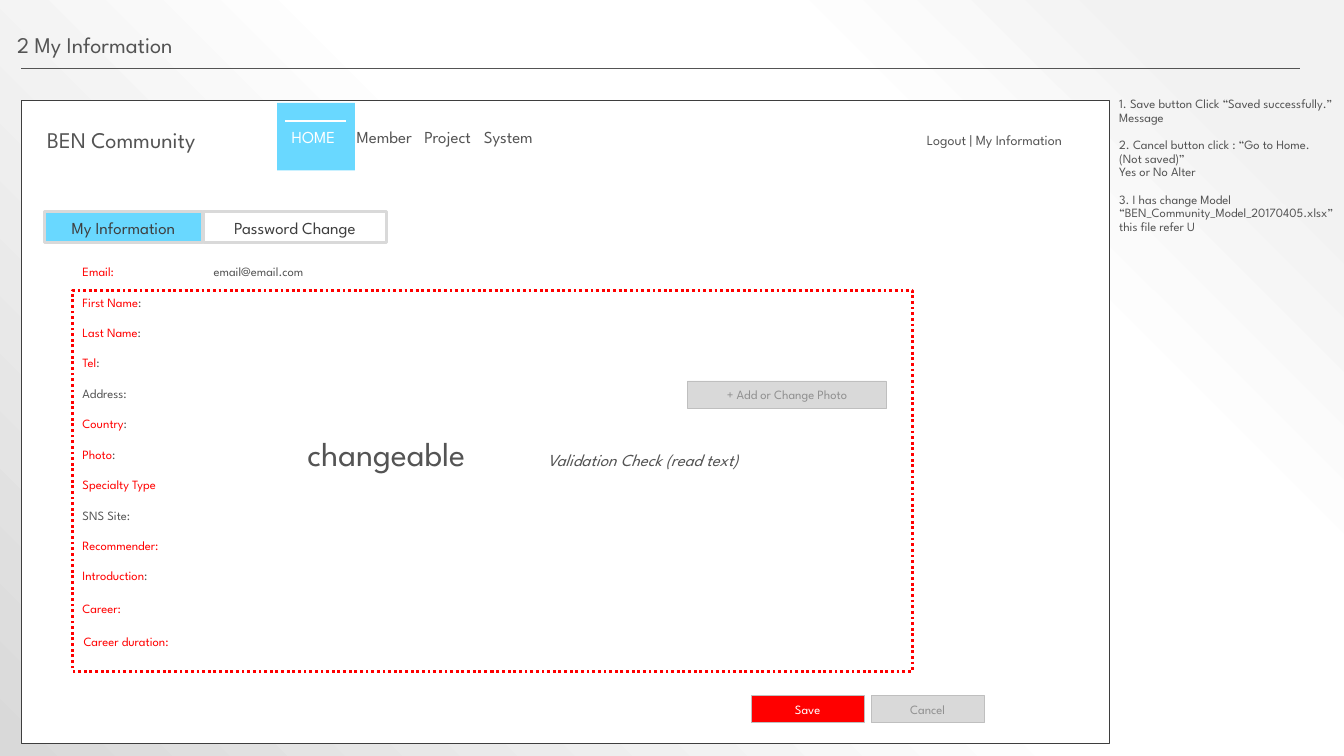
from lxml import etree
from pptx import Presentation, util as u
from pptx.dml.color import RGBColor
from pptx.enum import dml, shapes, text
from pptx.oxml import parse_xml
from pptx.oxml.ns import qn

FONT = "League Spartan"
GREY, DARK, PALE, EDGE, DIM = "545454", "3F3F3F", "D9D9D9", "BFBFBF", "909090"
RED, SKY, WHITE = "FF0000", "69D8FF", "FFFFFF"
LEFT, CENTER, RIGHT = text.PP_ALIGN.LEFT, text.PP_ALIGN.CENTER, text.PP_ALIGN.RIGHT
color = RGBColor.from_string


def write(shape, paragraphs, size, ink=GREY, align=LEFT, spacing=1.0, gap=0, anchor="TOP"):
    """Fill a shape with paragraphs, each a list of (words, colour) spans or one string."""
    frame = shape.text_frame
    frame.word_wrap = True
    frame.auto_size = text.MSO_AUTO_SIZE.NONE
    frame.vertical_anchor = text.MSO_ANCHOR[anchor]
    for number, spans in enumerate(paragraphs):
        para = frame.add_paragraph() if number else frame.paragraphs[0]
        para.alignment = align
        para.line_spacing = spacing
        para.space_before = u.Pt(gap if number else 0)
        if isinstance(spans, str):
            para.text = spans
        else:
            for words, span_ink in spans:
                span = para.add_run()
                span.text = words
                span.font.color.rgb = color(span_ink)
        para.font.name, para.font.size = FONT, u.Pt(size)
        para.font.color.rgb = color(ink)
    return frame


def rectangle(parent, place, fill=None, line=None, width=0.25):
    box = parent.add_shape(shapes.MSO_SHAPE.RECTANGLE, *map(u.Inches, place))
    box.shadow.inherit = False
    if fill:
        box.fill.solid()
        box.fill.fore_color.rgb = color(fill)
    else:
        box.fill.background()
    if line:
        box.line.color.rgb = color(line)
        box.line.width = u.Pt(width)
    else:
        box.line.fill.background()
    return box


deck = Presentation()
deck.slide_width, deck.slide_height = u.Inches(13.33), u.Inches(7.5)
page = deck.slides.add_slide(deck.slide_layouts[1])
title, notes = page.placeholders

# Background: radial gradient centred on the top right corner
page.background.fill.gradient()
gradient = page.background._cSld.find(".//" + qn("a:gradFill"))
for child in list(gradient):
    gradient.remove(child)
NS = 'xmlns:a="http://schemas.openxmlformats.org/drawingml/2006/main"'
stops = "".join(
    f'<a:gs pos="{share * 1000}"><a:srgbClr val="{tint}"/></a:gs>'
    for share, tint in [(10, "F2F2F2"), (28, WHITE), (48, WHITE), (100, PALE)])
gradient.append(parse_xml(f"<a:gsLst {NS}>{stops}</a:gsLst>"))
gradient.append(parse_xml(
    f'<a:path {NS} path="circle"><a:fillToRect l="100000" b="100000"/></a:path>'))

# Title and notes
title.left, title.top, title.width, title.height = map(u.Inches, (0.07, 0.29, 2.02, 0.34))
write(title, ["2 My Information"], 16, spacing=0.9)

notes.left, notes.top, notes.width, notes.height = map(u.Inches, (11, 0.92, 2.33, 1.74))
remarks = [
    "1. Save button Click “Saved successfully.”\vMessage",
    "2. Cancel button click : “Go to Home. (Not saved)”\vYes or No Alter",
    "3. I has change Model\v“BEN_Community_Model_20170405.xlsx” this file refer U",
]
for number in range(len(remarks)):
    para = notes.text_frame.add_paragraph() if number else notes.text_frame.paragraphs[0]
    properties = para._p.get_or_add_pPr()
    properties.set("marL", "0")
    properties.set("indent", "0")
    etree.SubElement(properties, qn("a:buNone"))
    para.text = remarks[number]
    para.line_spacing = 0.9
    para.space_before = u.Pt(9.7 if number else 0)
    para.font.name, para.font.size = FONT, u.Pt(9)
    para.font.color.rgb = color(GREY)
notes.text_frame.auto_size = text.MSO_AUTO_SIZE.NONE

# Window frame, header tile and tabs
rectangle(page.shapes, (0.21, 0.99, 10.79, 6.38), WHITE, "3E3E3E")
home = page.shapes.add_group_shape()
tile = rectangle(home.shapes, (2.75, 1.02, 0.77, 0.67), SKY)
write(tile, ["HOME"], 12, WHITE, CENTER, anchor="MIDDLE").margin_right = u.Inches(0.15)

for parent, start, end, y, ink, width in [
        (page, 0.21, 12.89, 0.68, GREY, 0.25), (home, 2.83, 3.43, 1.2, WHITE, 2)]:
    rule = parent.shapes.add_connector(
        shapes.MSO_CONNECTOR.STRAIGHT, *map(u.Inches, (start, y, end, y)))
    rule.line.color.rgb = color(ink)
    rule.line.width = u.Pt(width)
    etree.SubElement(rule._element.spPr, qn("a:effectLst"))

menu = page.shapes.add_textbox(*map(u.Inches, (3.44, 1.21, 2.44, 0.3)))
tabs = etree.SubElement(menu.text_frame.paragraphs[0]._p.get_or_add_pPr(), qn("a:tabLst"))
for stop in (0.67, 1.26):
    etree.SubElement(tabs, qn("a:tab"), pos=str(u.Inches(stop)), algn="l")
write(menu, ["Member\tProject\tSystem"], 12)

for label, place, fill, line, width, size, ink in [
        ("My Information", (0.44, 2.1, 1.57, 0.31), SKY, PALE, 2, 12, DARK),
        ("Password Change", (2.02, 2.1, 1.81, 0.31), WHITE, PALE, 2, 12, DARK),
        ("Save", (7.45, 6.9, 1.12, 0.27), RED, EDGE, 0.25, 9, WHITE),
        ("Cancel", (8.64, 6.9, 1.12, 0.27), PALE, EDGE, 0.25, 9, DIM),
        ("+ Add or Change Photo", (6.82, 3.78, 1.97, 0.27), PALE, EDGE, 0.25, 9, DIM)]:
    button = rectangle(page.shapes, place, fill, line, width)
    write(button, [label], size, ink, CENTER, anchor="MIDDLE")

# Form: dotted area, field labels and single lines of text
area = rectangle(page.shapes, (0.72, 2.88, 8.33, 3.78), None, RED, 2)
area.line.dash_style = dml.MSO_LINE.ROUND_DOT

fields = [
    [("Email:", RED)],
    [("First Name", RED), (":", GREY)],
    [("Last Name", RED), (":", GREY)],
    [("Tel", RED), (":", GREY)],
    [("Address:", GREY)],
    [("Country", RED), (":", GREY)],
    [("Photo", RED), (":", GREY)],
    [("Specialty Type", RED)],
    [("SNS Site:", GREY)],
    [("Recommender:", RED)],
    [("Introduction", RED), (":", GREY)],
]
labels = page.shapes.add_textbox(*map(u.Inches, (0.72, 2.57, 1.17, 3.43)))
write(labels, fields, 9, gap=10.9)

for words, place, size, ink, align, spacing in [
        ("BEN Community", (0.37, 1.23, 1.95, 0.34), 16, GREY, LEFT, 0.9),
        ("Logout | My Information", (9.05, 1.26, 1.58, 0.27), 10, GREY, RIGHT, 1),
        ("email@email.com", (2.02, 2.49, 1.3, 0.33), 9, GREY, LEFT, 1.5),
        ("Career:", (0.72, 5.84, 0.7, 0.33), 9, RED, LEFT, 1.5),
        ("Career duration:", (0.73, 6.16, 1.22, 0.3), 9, RED, LEFT, 1.5),
        ("changeable", (2.95, 4.29, 2.25, 0.46), 24, GREY, LEFT, 0.9),
        ("Validation Check (read text)", (5.33, 4.43, 2.54, 0.28), 12, GREY, LEFT, 0.9)]:
    box = page.shapes.add_textbox(*map(u.Inches, place))
    frame = write(box, [words], size, ink, align, spacing)
    frame.paragraphs[0].font.italic = words.startswith("Validation") or None

deck.save("out.pptx")
